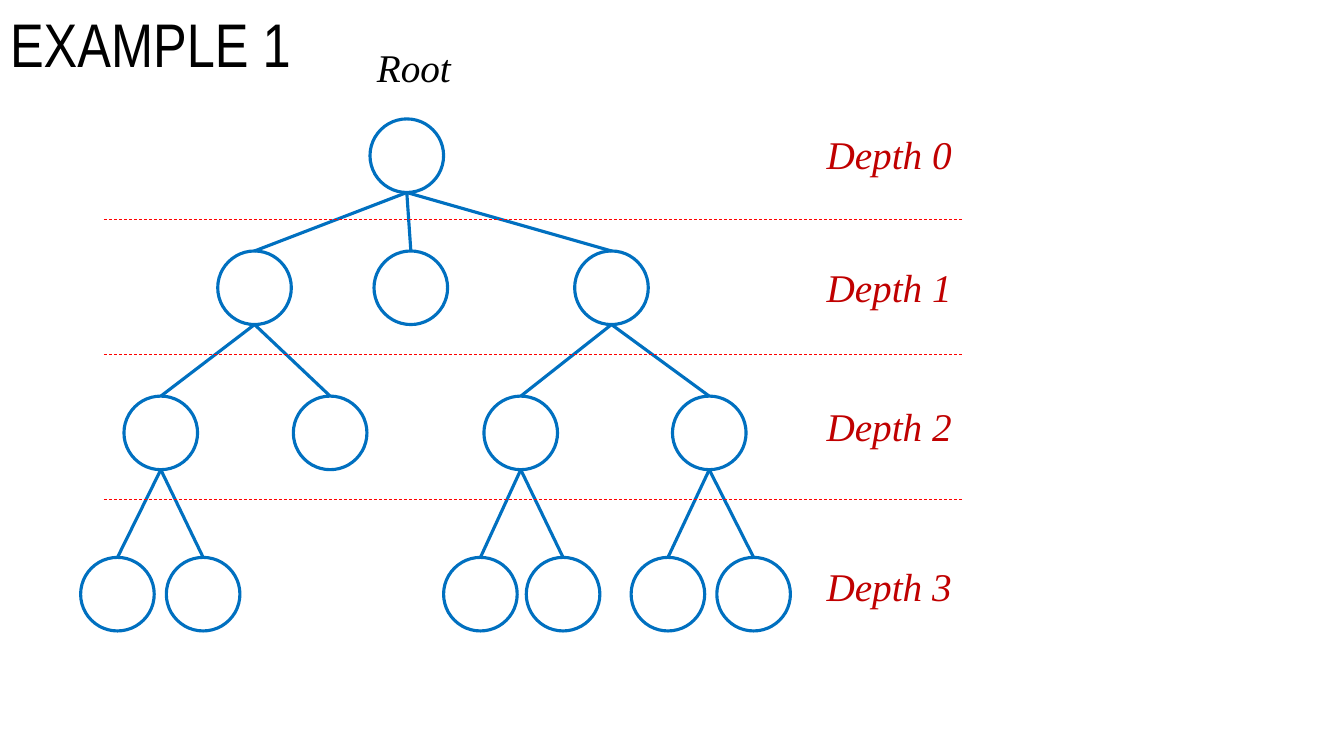
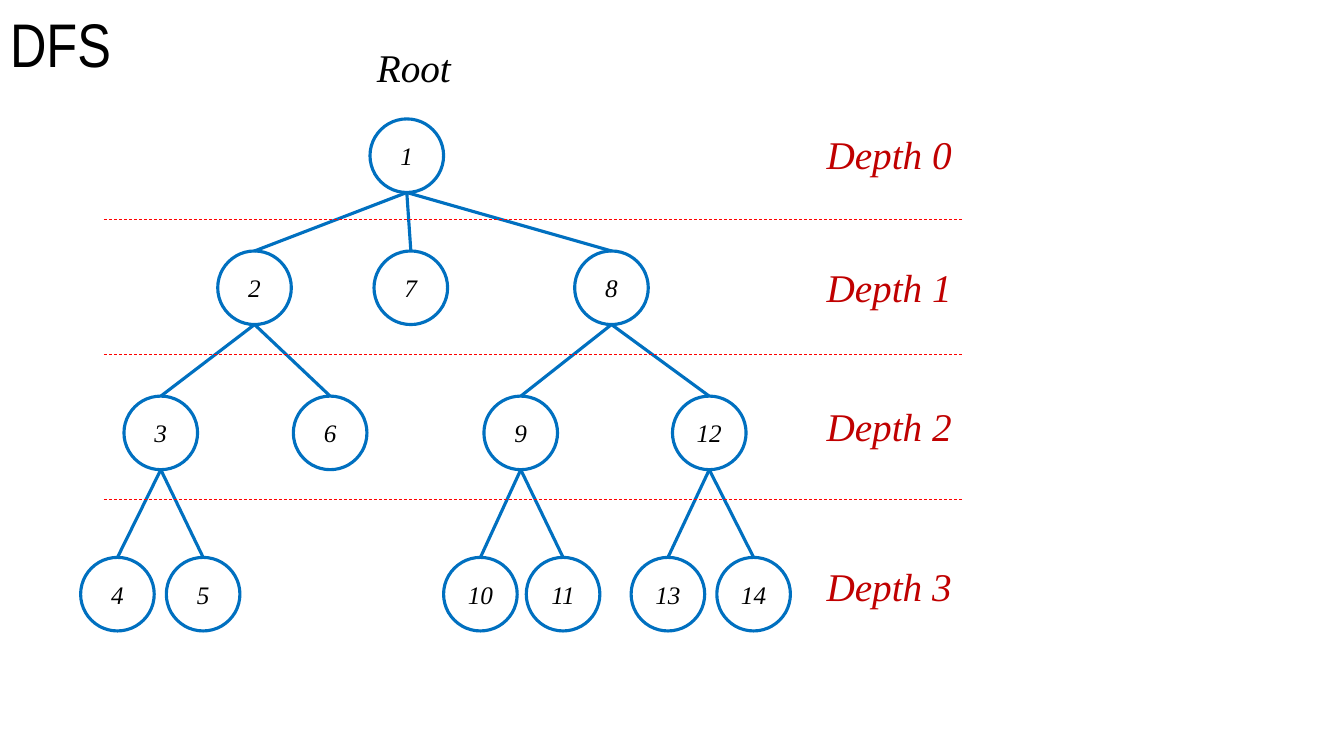
from pptx import Presentation
from pptx.dml.color import RGBColor
from pptx.enum.dml import MSO_LINE
from pptx.enum.shapes import MSO_CONNECTOR, MSO_SHAPE
from pptx.enum.text import MSO_ANCHOR, MSO_AUTO_SIZE, PP_ALIGN
from pptx.oxml.ns import qn
from pptx.util import Inches, Pt
from lxml.etree import SubElement

COLORS = {"black": "000000", "white": "FFFFFF", "blue": "0070C0",
          "red": "FF0000", "crimson": "C00000"}
SERIF = {"name": "Times New Roman", "italic": True}
HEAD = {"name": "Arial Narrow", "size": Pt(44)}
LABEL = {**SERIF, "size": Pt(28)}
DIGIT = {**SERIF, "size": Pt(18)}
SIZE = 0.73
ROWS = [1.18, 2.49, 3.93, 5.53]
LABELS = [1.24, 2.56, 3.94, 5.53]
RULES = [2.18, 3.52, 4.95]
TREE = [(0, 3.67), (1, 2.16), (2, 1.23), (3, 0.8), (3, 1.65), (2, 2.91),
        (1, 3.71), (1, 5.7), (2, 4.8), (3, 4.4), (3, 5.22), (2, 6.67),
        (3, 6.26), (3, 7.11)]


def color(key):
    """Return a palette colour."""
    return RGBColor.from_string(COLORS[key])


def put(item, values):
    """Set each attribute of an item from a dict."""
    for key, value in values.items():
        setattr(item, key, value)


def write(shape, text, font, hue, frame, **para):
    """Write one styled paragraph into a shape."""
    put(shape.text_frame, {"text": text, **frame})
    line = shape.text_frame.paragraphs[0]
    put(line, para)
    put(line.font, font)
    line.font.color.rgb = color(hue)


def title(slide, text):
    """Place and style the slide title."""
    box = slide.shapes.title
    put(box, {"left": 0, "top": 0, "width": Inches(11.5), "height": Inches(0.94)})
    frame = {"vertical_anchor": MSO_ANCHOR.MIDDLE, "auto_size": MSO_AUTO_SIZE.NONE}
    write(box, text, HEAD, "black", frame, alignment=PP_ALIGN.LEFT, line_spacing=0.9)


def label(slide, text, left, top, width, hue):
    """Add a one-line serif label."""
    box = slide.shapes.add_textbox(*map(Inches, (left, top, width, 0.57)))
    frame = {"word_wrap": False, "auto_size": MSO_AUTO_SIZE.SHAPE_TO_FIT_TEXT}
    write(box, text, LABEL, hue, frame)


def stroke(slide, hue, width, ends=(0, 0, 0, 0)):
    """Add a straight line without shadow."""
    line = slide.shapes.add_connector(MSO_CONNECTOR.STRAIGHT, *map(Inches, ends))
    line.line.color.rgb = color(hue)
    line.line.width = Pt(width)
    SubElement(line._element.spPr, qn("a:effectLst"))
    return line


def node(slide, left, top, text):
    """Add a tree node, with a number if given."""
    ring = slide.shapes.add_shape(MSO_SHAPE.OVAL, *map(Inches, (left, top, SIZE, SIZE)))
    ring.shadow.inherit = False
    ring.fill.solid()
    ring.fill.fore_color.rgb = color("white")
    ring.line.color.rgb = color("blue")
    ring.line.width = Pt(2.25)
    if text:
        frame = {"vertical_anchor": MSO_ANCHOR.MIDDLE, "margin_left": 0, "margin_right": 0}
        write(ring, text, DIGIT, "black", frame, alignment=PP_ALIGN.CENTER)
    return ring


def edge(slide, upper, lower):
    """Join the bottom of a parent, oval site 4, to the top of its child."""
    line = stroke(slide, "blue", 2.25)
    line.begin_connect(upper, 2)
    line._element.nvCxnSpPr.cNvCxnSpPr.stCxn.idx = 4
    line.end_connect(lower, 0)


def tree(slide, count):
    """Draw the tree in depth-first order."""
    last = {}
    for step, (depth, left) in enumerate(TREE, 1):
        last[depth] = node(slide, left, ROWS[depth], str(step) if count else "")
        if depth:
            edge(slide, last[depth - 1], last[depth])


def levels(slide):
    """Add the level labels and the dashed rules."""
    label(slide, "Root", 3.64, 0.38, 0.94, "black")
    for depth, top in enumerate(LABELS):
        label(slide, f"Depth {depth}", 8.1, top, 1.46, "crimson")
    for top in RULES:
        rule = stroke(slide, "red", 0.5, (1.03, top, 9.55, top))
        rule.line.dash_style = MSO_LINE.DASH


def main():
    """Build and save the deck."""
    deck = Presentation()
    put(deck, {"slide_width": Inches(13.33), "slide_height": Inches(7.5)})
    for text, count in (("EXAMPLE 1", False), ("DFS", True)):
        slide = deck.slides.add_slide(deck.slide_layouts[5])
        title(slide, text)
        tree(slide, count)
        levels(slide)
    deck.save("out.pptx")


if __name__ == "__main__":
    main()
